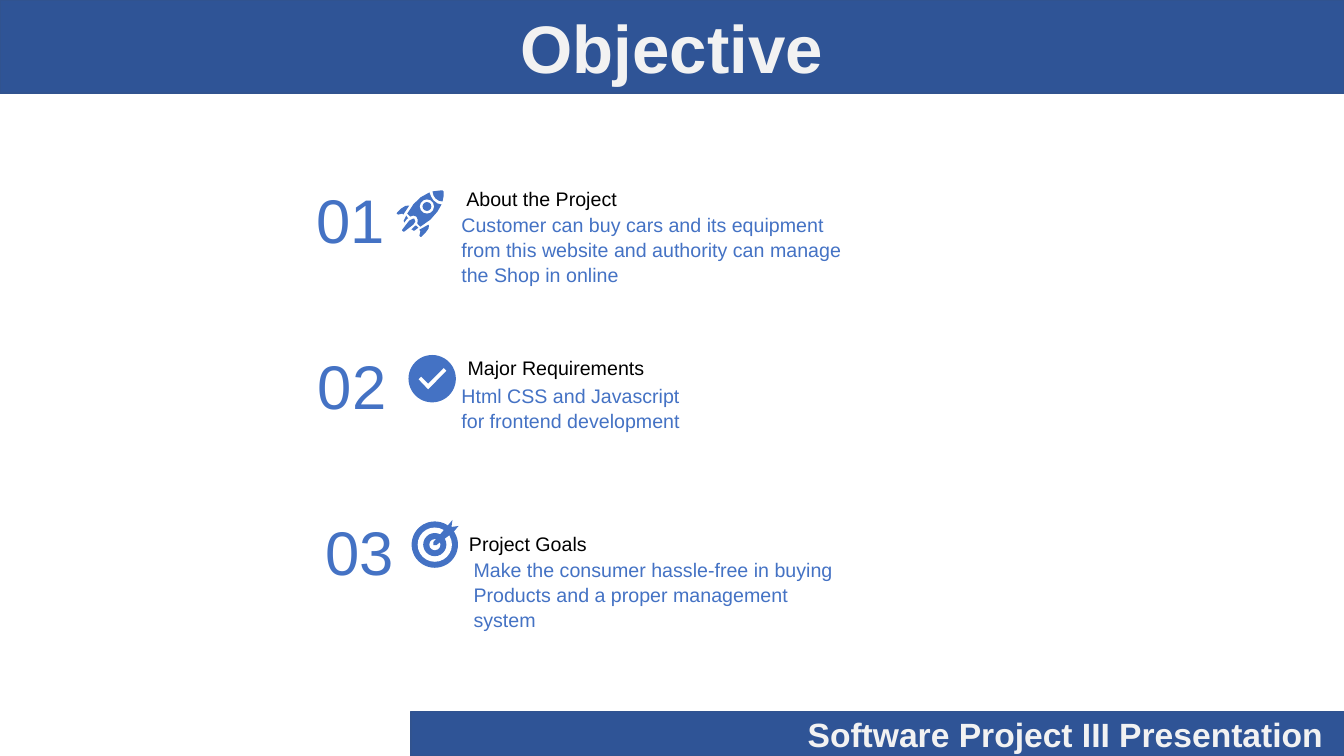
"""Builds the Objective slide with three numbered points."""
from pptx import Presentation
from pptx.dml.color import RGBColor
from pptx.enum.shapes import MSO_SHAPE
from pptx.enum.text import MSO_ANCHOR, PP_ALIGN
from pptx.util import Pt

NAVY = RGBColor(0x2F, 0x54, 0x96)
NAVY_EDGE = RGBColor(0x31, 0x53, 0x8F)
BLUE = RGBColor(0x44, 0x72, 0xC4)
PALE = RGBColor(0xF2, 0xF2, 0xF2)
BLACK = RGBColor(0, 0, 0)
WHITE = RGBColor(0xFF, 0xFF, 0xFF)

ICON_UNIT = 0.72
ROCKET_BODY = [(33, 2), (24, 7), (17, 14), (11, 23), (14, 26), (17, 25), (20, 26), (21.5, 29),
               (21, 33), (24, 36), (34, 29), (41, 21), (45, 14), (41, 13), (37, 10), (34.5, 6)]
ROCKET_PARTS = [
    ROCKET_BODY,
    [(44, 0), (36, 1), (37, 5), (39, 8), (42.5, 10.3), (46, 11), (47, 6), (47, 1), (46, 0)],
    [(12, 15), (9, 15.5), (5, 18), (1, 22), (0.5, 23), (2, 24), (6, 23), (7, 24), (13, 15)],
    [(32, 34), (23, 39), (24, 41), (23, 45), (24, 46), (25, 46), (29, 42), (32, 38), (32.5, 35)],
    [(17, 28), (13, 30), (6, 39), (6, 40), (7, 41), (8, 41), (17, 34), (19, 31), (18, 28)],
    [(10, 25), (7.5, 30), (8, 32), (11, 28), (12, 28)],
    [(20, 35), (19, 35), (15, 39), (16, 39), (17, 40), (18, 40), (22, 37)],
]
CHECK_MARK = [(10, 24), (12.5, 21.5), (19.5, 28.5), (35, 13), (37.5, 15.5), (19.5, 34)]
DART = [(21, 25), (21, 22), (35, 6), (40, 0), (39, 7), (46, 6), (41, 12), (24, 25)]


class SlideBuilder:
    """Holds the text style and the slide being drawn."""

    def __init__(self, slide):
        self.shapes = slide.shapes
        self.font = "Arial"
        self.line_spacing = 1.06

    def set_text(self, shape, text, size, color, bold=False, align=PP_ALIGN.LEFT):
        """Put one styled paragraph into a shape."""
        frame = shape.text_frame
        frame.text = text
        frame.word_wrap = True
        para = frame.paragraphs[0]
        para.alignment = align
        font = para.runs[0].font
        font.name, font.size, font.bold = self.font, Pt(size), bold
        font.color.rgb = color
        return para

    def paint(self, shape, color, edge=None):
        """Give a shape a plain fill and an optional thin edge."""
        shape.shadow.inherit = False
        shape.fill.solid()
        shape.fill.fore_color.rgb = color
        if edge is None:
            shape.line.fill.background()
        else:
            shape.line.color.rgb = edge
            shape.line.width = Pt(1)

    def banner(self, left, top, width, height, text, size, align, right_inset=7.2):
        """Draw a navy bar with bold text."""
        bar = self.shapes.add_shape(MSO_SHAPE.RECTANGLE, Pt(left), Pt(top), Pt(width), Pt(height))
        self.paint(bar, NAVY, NAVY_EDGE)
        self.set_text(bar, text, size, PALE, True, align)
        bar.text_frame.vertical_anchor = MSO_ANCHOR.MIDDLE
        bar.text_frame.margin_right = Pt(right_inset)

    def label(self, left, top, width, height, text, size, color):
        """Add a wrapped text box."""
        box = self.shapes.add_textbox(Pt(left), Pt(top), Pt(width), Pt(height))
        para = self.set_text(box, text, size, color)
        para.line_spacing = self.line_spacing

    def disc(self, left, top, center_x, center_y, radius, color):
        """Draw a circle placed in icon units."""
        size = Pt(2 * radius * ICON_UNIT)
        circle = self.shapes.add_shape(
            MSO_SHAPE.OVAL, Pt(left + (center_x - radius) * ICON_UNIT),
            Pt(top + (center_y - radius) * ICON_UNIT), size, size)
        self.paint(circle, color)

    def outline(self, left, top, points, color):
        """Draw a closed polygon placed in icon units."""
        corners = [(Pt(left + x * ICON_UNIT), Pt(top + y * ICON_UNIT)) for x, y in points]
        builder = self.shapes.build_freeform(*corners[0])
        builder.add_line_segments(corners[1:], close=True)
        self.paint(builder.convert_to_shape(), color)

    def rocket(self, left, top):
        """Draw the rocket icon."""
        for part in ROCKET_PARTS:
            self.outline(left, top, part, BLUE)
        for radius, color in ((7, WHITE), (4.4, BLUE)):
            self.disc(left, top, 30.5, 16, radius, color)

    def check(self, left, top):
        """Draw the check mark icon."""
        self.disc(left, top, 23.5, 23.5, 23.5, BLUE)
        self.outline(left, top, CHECK_MARK, WHITE)

    def target(self, left, top):
        """Draw the target icon with its dart."""
        for radius, color in ((23, BLUE), (17, WHITE), (11.5, BLUE), (5.5, WHITE)):
            self.disc(left, top, 22.5, 24.5, radius, color)
        self.outline(left, top, DART, BLUE)


def main():
    """Build and save the deck."""
    deck = Presentation()
    deck.slide_width, deck.slide_height = Pt(960), Pt(540)
    page = SlideBuilder(deck.slides.add_slide(deck.slide_layouts[6]))

    page.banner(293.5, 508, 666.5, 32, "Software Project III Presentation", 24,
                PP_ALIGN.RIGHT, right_inset=15)
    page.banner(0, 0, 960, 66.5, "Objective", 48, PP_ALIGN.CENTER)

    points = [
        ("01", (219, 123), page.rocket, (283, 136),
         "About the Project", (326, 129),
         "Customer can buy cars and its equipment from this website and authority "
         "can manage the Shop in online", (322.5, 147.5), 288),
        ("02", (220, 242), page.check, (291.8, 253.6),
         "Major Requirements", (326.9, 249.8),
         "Html CSS and Javascript for frontend development", (322.5, 270), 182),
        ("03", (225.4, 360.7), page.target, (294.4, 371.4),
         "Project Goals", (327.9, 375.2),
         "Make the consumer hassle-free in buying Products and a proper management system",
         (331.2, 393.8), 278.6),
    ]
    for number, number_at, icon, icon_at, title, title_at, detail, detail_at, width in points:
        page.label(*number_at, 72, 64, number, 44, BLUE)
        icon(*icon_at)
        page.label(*title_at, 166, 41, title, 14, BLACK)
        page.label(*detail_at, width, 58, detail, 14, BLUE)

    deck.save("out.pptx")


if __name__ == "__main__":
    main()
